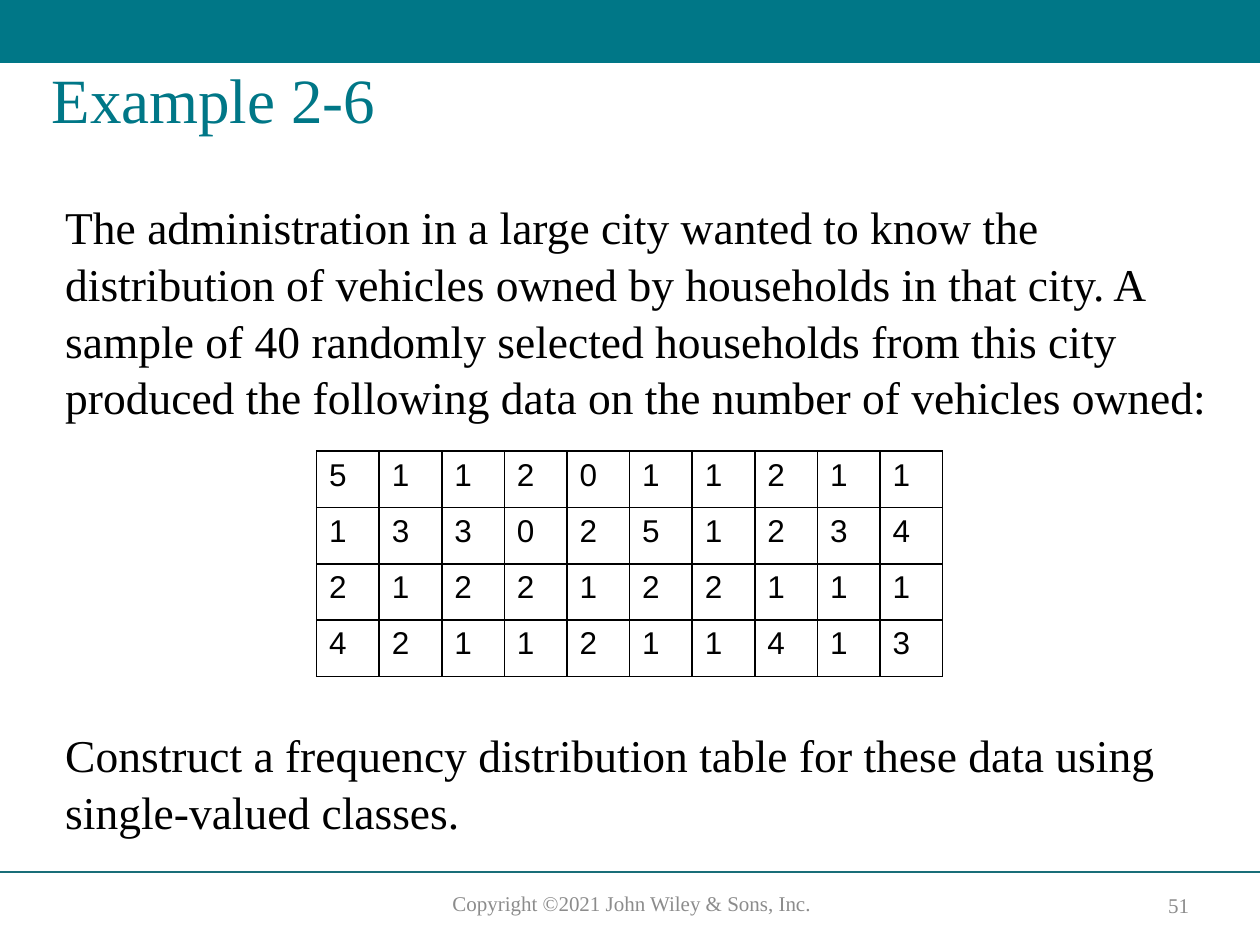
from dataclasses import dataclass

from lxml.etree import SubElement
from pptx import Presentation
from pptx.dml.color import RGBColor
from pptx.enum.shapes import MSO_CONNECTOR as Connector, MSO_SHAPE as Shape
from pptx.enum.text import MSO_ANCHOR as Anchor, MSO_AUTO_SIZE as AutoSize, PP_ALIGN as Align
from pptx.oxml.ns import qn
from pptx.util import Pt

COLORS = {"teal": "007787", "rule": "196E78", "gray": "8C8C8C", "black": "000000"}
SERIF = "Times New Roman"
SANS = "Arial"
PAGE_WIDTH, PAGE_HEIGHT = 720, 540

VEHICLES = [
    [5, 1, 1, 2, 0, 1, 1, 2, 1, 1],
    [1, 3, 3, 0, 2, 5, 1, 2, 3, 4],
    [2, 1, 2, 2, 1, 2, 2, 1, 1, 1],
    [4, 2, 1, 1, 2, 1, 1, 4, 1, 3],
]


@dataclass(frozen=True)
class TextBlock:
    text: str
    left: float
    top: float
    width: float
    height: float
    size: float
    color: str = "black"
    align: Align = Align.LEFT
    anchor: Anchor = Anchor.TOP
    spacing: float = 1.0


BLOCKS = [
    TextBlock("Copyright ©2021 John Wiley & Sons, Inc.", 231.8, 505.4, 258.5, 21.6, 12,
              color="gray", align=Align.CENTER),
    TextBlock("51", 651.6, 506.9, 43.9, 20.2, 12,
              color="gray", align=Align.CENTER, anchor=Anchor.MIDDLE),
    TextBlock("The administration in a large city wanted to know the distribution of vehicles "
              "owned by households in that city. A sample of 40 randomly selected households "
              "from this city produced the following data on the number of vehicles owned:",
              30.2, 109, 671.8, 136.8, 26, spacing=1.04),
    TextBlock("Construct a frequency distribution table for these data using "
              "single-valued classes.",
              30.2, 410.7, 655.9, 82, 26, spacing=1.04),
]
TITLE = TextBlock("Example 2-6", 22.3, 36, 671.8, 90, 36, color="teal", spacing=0.9)


def rgb(name: str) -> RGBColor:
    return RGBColor.from_string(COLORS[name])


def write_text(frame, text: str, *, size: float, font: str = SERIF, color: str = "black",
               align: Align = Align.LEFT, spacing: float = 1.0) -> None:
    para = frame.paragraphs[0]
    para.alignment = align
    para.line_spacing = spacing
    para.space_before = Pt(0)
    span = para.add_run()
    span.text = text
    span.font.size = Pt(size)
    span.font.name = font
    span.font.color.rgb = rgb(color)


def fill_box(box, block: TextBlock) -> None:
    box.left, box.top = Pt(block.left), Pt(block.top)
    box.width, box.height = Pt(block.width), Pt(block.height)
    frame = box.text_frame
    frame.word_wrap = True
    frame.auto_size = AutoSize.NONE
    frame.vertical_anchor = block.anchor
    write_text(frame, block.text, size=block.size, color=block.color,
               align=block.align, spacing=block.spacing)


def add_banner(page) -> None:
    banner = page.shapes.add_shape(Shape.RECTANGLE, 0, 0, Pt(PAGE_WIDTH), Pt(36))
    banner.shadow.inherit = False
    banner.fill.solid()
    banner.fill.fore_color.rgb = rgb("teal")
    banner.line.fill.background()


def add_footer_rule(page) -> None:
    height = Pt(498.2)
    rule = page.shapes.add_connector(Connector.STRAIGHT, 0, height, Pt(PAGE_WIDTH), height)
    rule.line.color.rgb = rgb("rule")
    rule.line.width = Pt(1)
    SubElement(rule._element.spPr, qn("a:effectLst"))


def add_borders(cell) -> None:
    properties = cell._tc.get_or_add_tcPr()
    for side in ("lnL", "lnR", "lnT", "lnB"):
        border = SubElement(properties, qn(f"a:{side}"), w=str(Pt(1)))
        fill = SubElement(border, qn("a:solidFill"))
        SubElement(fill, qn("a:srgbClr"), val=COLORS["black"])


def add_data_table(page, rows: list[list[int]]) -> None:
    column_width, row_height = 35.8, 32.2
    columns = len(rows[0])
    table = page.shapes.add_table(
        len(rows), columns, Pt(180.9), Pt(257.8),
        Pt(columns * column_width), Pt(len(rows) * row_height)).table
    table.first_row = False
    table.horz_banding = False
    for column in table.columns:
        column.width = Pt(column_width)
    for row, values in zip(table.rows, rows):
        row.height = Pt(row_height)
        for cell, value in zip(row.cells, values):
            add_borders(cell)
            cell.fill.background()
            write_text(cell.text_frame, str(value), size=18, font=SANS)


def main() -> None:
    deck = Presentation()
    deck.slide_width, deck.slide_height = Pt(PAGE_WIDTH), Pt(PAGE_HEIGHT)
    page = deck.slides.add_slide(deck.slide_layouts[5])
    add_banner(page)
    add_footer_rule(page)
    fill_box(page.shapes.title, TITLE)
    for block in BLOCKS:
        fill_box(page.shapes.add_textbox(0, 0, 0, 0), block)
    add_data_table(page, VEHICLES)
    deck.save("out.pptx")


if __name__ == "__main__":
    main()
